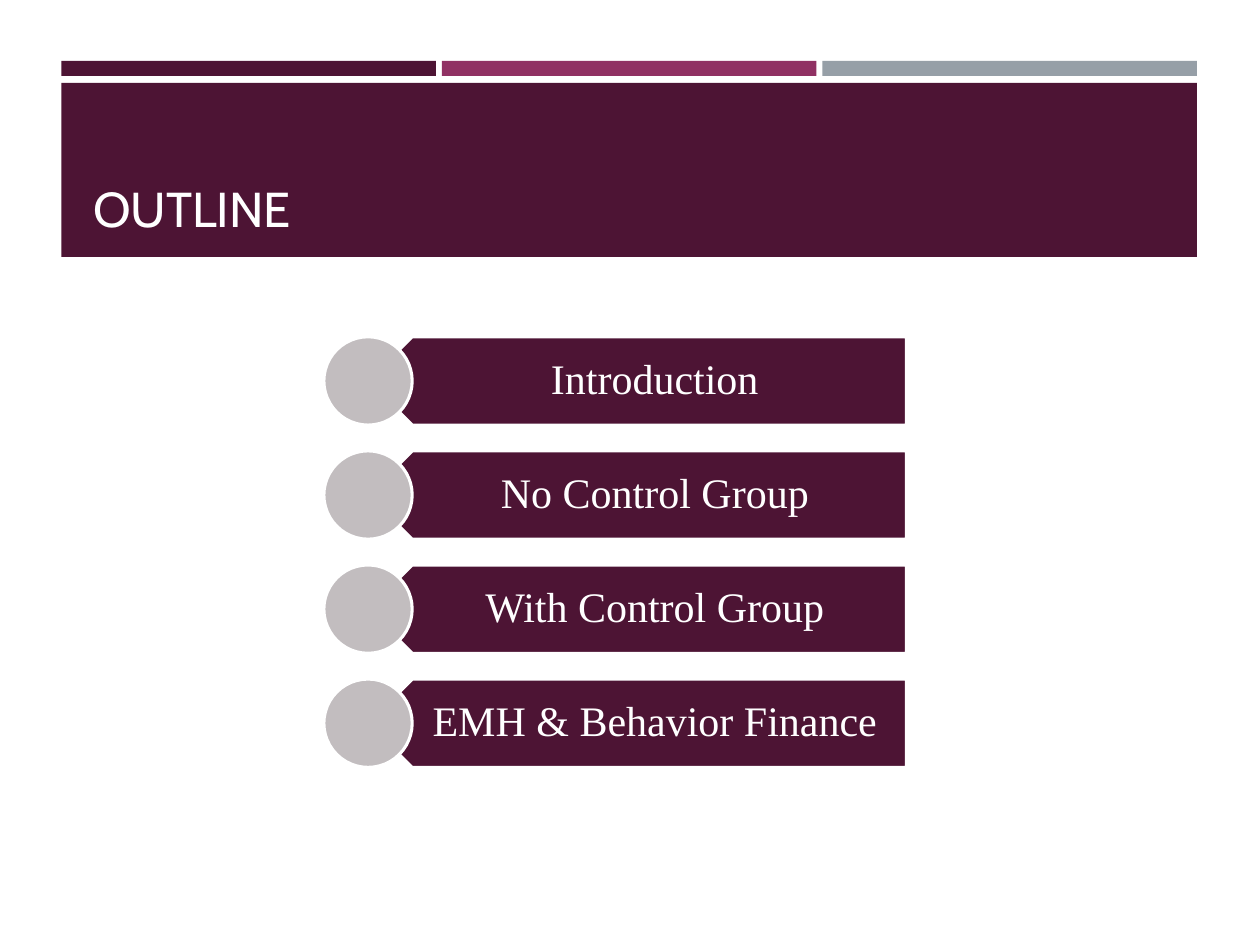
from pptx import Presentation, util as u
from pptx.dml.color import RGBColor
from pptx.enum import shapes, text

COLORS = {"plum": "4D1434", "berry": "903163", "slate": "969FA7",
          "disc": "C2BDBF", "white": "FFFFFF"}
TOPICS = ["Introduction", "No Control Group", "With Control Group",
          "EMH & Behavior Finance"]
SHAPE = shapes.MSO_SHAPE


def rgb(name):
    return RGBColor.from_string(COLORS[name])


def write(tf, content, font, size, color="white", align=text.PP_ALIGN.LEFT,
          anchor=text.MSO_ANCHOR.MIDDLE, spacing=1.0, insets=(0.25, 0.13, 0.25, 0.13)):
    """Fill a text frame with one formatted run; insets are l, t, r, b in cm."""
    tf.word_wrap = True
    tf.vertical_anchor = anchor
    tf.margin_left, tf.margin_top, tf.margin_right, tf.margin_bottom = map(u.Cm, insets)
    p = tf.paragraphs[0]
    p.alignment = align
    p.line_spacing = spacing
    r = p.add_run()
    r.text = content
    r.font.name = font
    r.font.size = u.Pt(size)
    r.font.color.rgb = rgb(color)


class Deck:
    """Style and current slide; all lengths are in cm."""
    title_font = "Cabin"
    body_font = "Times New Roman"
    outline = 1.75

    def __init__(self, width, height):
        self.prs = Presentation()
        self.prs.slide_width, self.prs.slide_height = u.Cm(width), u.Cm(height)
        self.s = self.prs.slides.add_slide(self.prs.slide_layouts[6])

    def shape(self, kind, x, y, w, h, fill, line=None):
        sp = self.s.shapes.add_shape(kind, *map(u.Cm, (x, y, w, h)))
        sp.shadow.inherit = False
        sp.fill.solid()
        sp.fill.fore_color.rgb = rgb(fill)
        if line:
            sp.line.color.rgb = rgb(line)
            sp.line.width = u.Pt(self.outline)
        else:
            sp.line.fill.background()
        return sp

    def label(self, x, y, w, h, content, **fmt):
        sp = self.s.shapes.add_textbox(*map(u.Cm, (x, y, w, h)))
        write(sp.text_frame, content, **fmt)

    def header(self, title):
        for i, color in enumerate(("plum", "berry", "slate")):
            self.shape(SHAPE.RECTANGLE, 1.24 + i * 7.67, 1.23, 7.55, 0.3, color)
        self.shape(SHAPE.RECTANGLE, 1.24, 1.67, 22.89, 3.51, "plum")
        self.label(1.63, 1.91, 22.2, 3, title, font=self.title_font, size=28,
                   anchor=text.MSO_ANCHOR.BOTTOM)

    def topic(self, y, content):
        """One agenda row: left-pointing banner, its text, and a disc on the tip."""
        size = 1.78
        banner = self.shape(SHAPE.PENTAGON, 7.42, y, 10.85, size, "plum", "white")
        banner.rotation = 180
        self.label(7.85, y, 10.39, size, content, font=self.body_font, size=24,
                   align=text.PP_ALIGN.CENTER, spacing=0.9,
                   insets=(0.79, 0.25, 0.48, 0.25))
        self.shape(SHAPE.OVAL, 6.53, y, size, size, "disc", "white")


def main():
    deck = Deck(25.4, 19.05)
    deck.header("OUTLINE")
    for i, content in enumerate(TOPICS):
        deck.topic(6.79 + i * 2.3, content)
    deck.prs.save("out.pptx")


if __name__ == "__main__":
    main()
